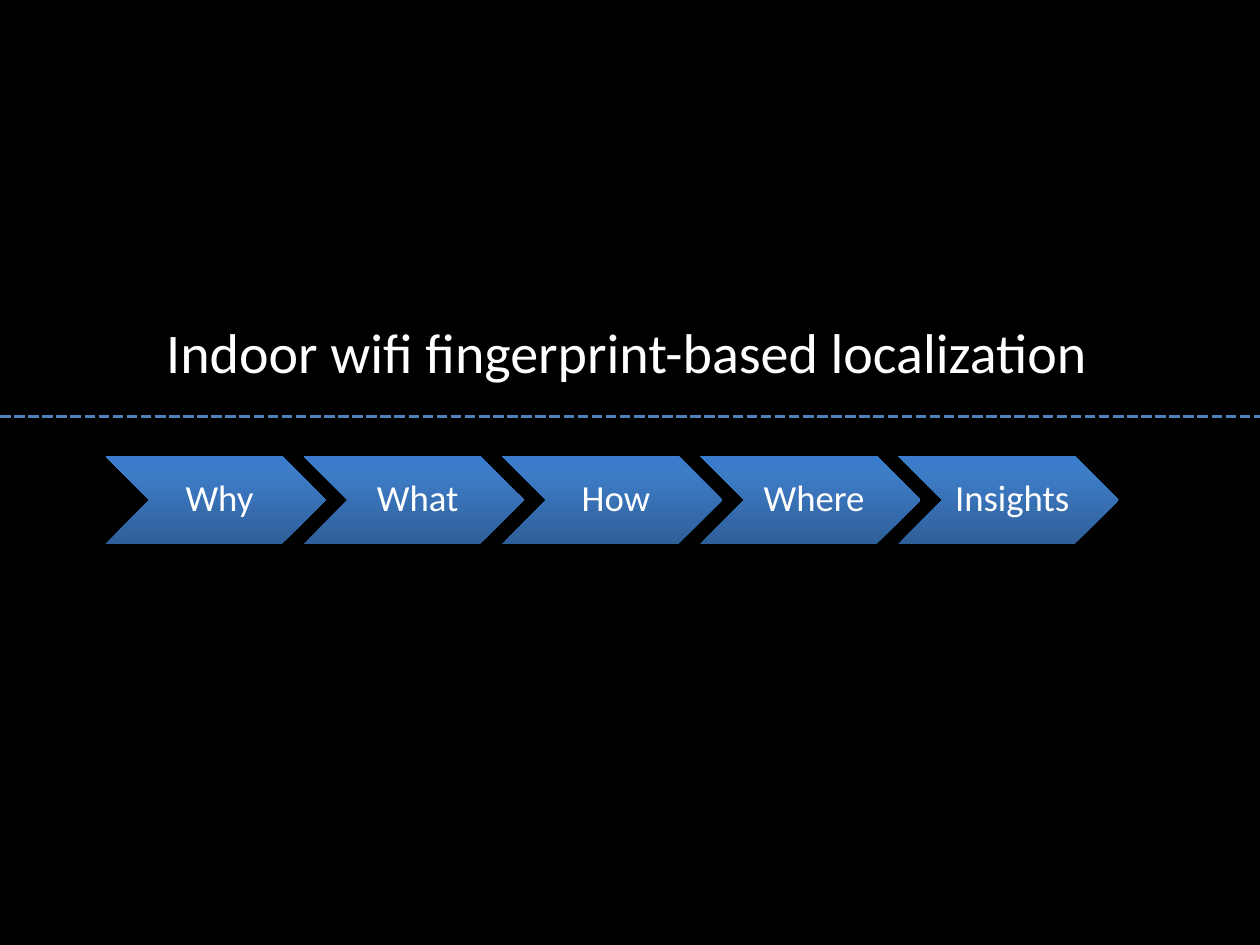
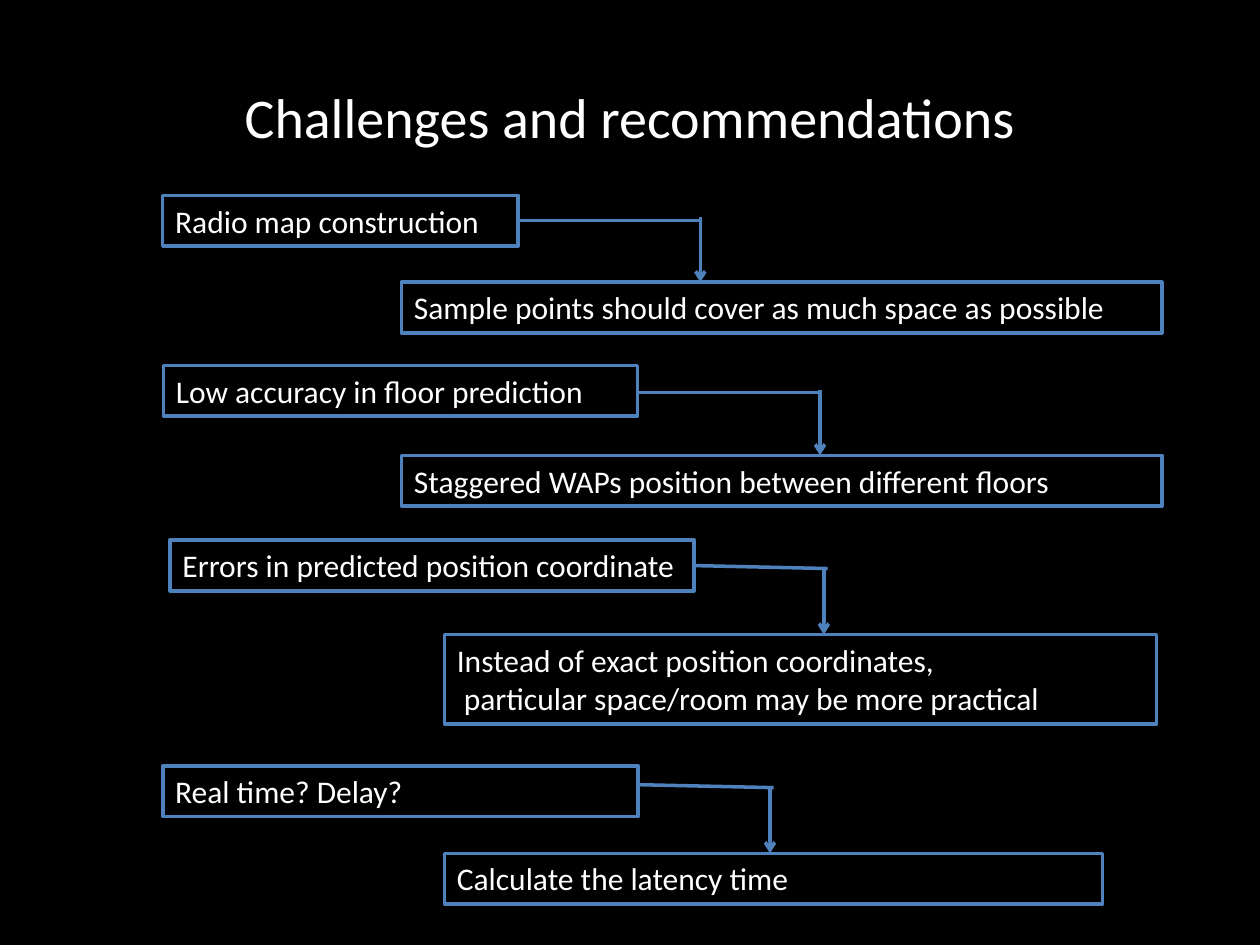
import copy
from dataclasses import dataclass

import lxml.etree
import pptx
import pptx.dml.color
import pptx.enum.dml
import pptx.enum.shapes
import pptx.enum.text
import pptx.oxml.ns
import pptx.util

Pt = pptx.util.Pt
RGBColor = pptx.dml.color.RGBColor
Shape = pptx.enum.shapes.MSO_SHAPE
Align = pptx.enum.text.PP_ALIGN
Anchor = pptx.enum.text.MSO_ANCHOR
qn = pptx.oxml.ns.qn

# Shared style
BLACK = RGBColor(0x00, 0x00, 0x00)
WHITE = RGBColor(0xFF, 0xFF, 0xFF)
BLUE = RGBColor(0x4F, 0x81, 0xBD)
CHEVRON_STOPS = [
    (0, RGBColor(0x2F, 0x5F, 0x99)),
    (0.8, RGBColor(0x3D, 0x7C, 0xC7)),
    (1, RGBColor(0x3A, 0x7C, 0xCB)),
]
FONT = "Calibri"
LINE_WIDTH = 2
SLIDE_WIDTH, SLIDE_HEIGHT = 720, 540
TITLE_ONLY = 5

# Slide 1: chevron row
STEPS = ["Why", "What", "How", "Where", "Insights"]
CHEVRON_LEFT, CHEVRON_TOP, CHEVRON_STEP = 60.3, 260.6, 113.25
CHEVRON_WIDTH, CHEVRON_HEIGHT = 126, 50.2

# Slide 2: arrows from each challenge down to its recommendation
ARROW_LENGTH = 37.5
BOX_HEIGHT = 29


@dataclass(frozen=True)
class Box:
    text: str
    left: float
    top: float
    width: float
    height: float = BOX_HEIGHT


@dataclass(frozen=True)
class Challenge:
    issue: Box
    advice: Box
    arm_y: float
    arrow_x: float
    overshoot: float = 0
    drop: float = 0


CHALLENGES = [
    Challenge(
        Box("Radio map construction", 93, 111.6, 203.2),
        Box("Sample points should cover as much space as possible", 229.5, 161.3, 434.5),
        arm_y=126, arrow_x=400.2),
    Challenge(
        Box("Low accuracy in floor prediction", 93.4, 208.8, 271),
        Box("Staggered WAPs position between different floors", 229.5, 260.2, 434.5),
        arm_y=224.2, arrow_x=468.6),
    Challenge(
        Box("Errors in predicted position coordinate", 97.2, 308.6, 299.4),
        Box("Instead of exact position coordinates,\n"
            "particular space/room may be more practical", 254, 362.6, 407, 51),
        arm_y=323.2, arrow_x=470.8, overshoot=2.1, drop=1.7),
    Challenge(
        Box("Real time? Delay?", 93, 437.6, 271.6),
        Box("Calculate the latency time", 254, 487.6, 376),
        arm_y=448.4, arrow_x=440, overshoot=2.1, drop=1.7),
]


def write(s, text: str, *, size: float, align=Align.LEFT, anchor=Anchor.TOP,
          insets=(7.2, 3.6, 7.2, 3.6), spacing: float = 1, next_indent: float = 0) -> None:
    """Fill a shape with text, one paragraph per line."""
    tf = s.text_frame
    tf.word_wrap = True
    tf.auto_size = pptx.enum.text.MSO_AUTO_SIZE.NONE
    tf.vertical_anchor = anchor
    tf.margin_left, tf.margin_top, tf.margin_right, tf.margin_bottom = map(Pt, insets)
    for i, line in enumerate(text.split("\n")):
        p = tf.add_paragraph() if i else tf.paragraphs[0]
        p.alignment = align
        p.line_spacing = spacing
        if i and next_indent:
            p._p.get_or_add_pPr().set("marL", str(Pt(next_indent)))
        r = p.add_run()
        r.text = line
        r.font.name, r.font.size = FONT, Pt(size)
        r.font.color.rgb = WHITE


def add_titled_slide(prs, title: str, left: float, top: float, width: float,
                     height: float, **text_format):
    slide = prs.slides.add_slide(prs.slide_layouts[TITLE_ONLY])
    s = slide.shapes.title
    s.left, s.top, s.width, s.height = map(Pt, (left, top, width, height))
    write(s, title, size=32, **text_format)
    return slide


def add_line(slide, x1: float, y1: float, x2: float, y2: float, *,
             dashed: bool = False, arrow: bool = False) -> None:
    c = slide.shapes.add_connector(
        pptx.enum.shapes.MSO_CONNECTOR.STRAIGHT, *map(Pt, (x1, y1, x2, y2)))
    c.line.color.rgb = BLUE
    c.line.width = Pt(LINE_WIDTH)
    if dashed:
        c.line.dash_style = pptx.enum.dml.MSO_LINE.SQUARE_DOT
    sp = c._element.spPr
    if arrow:
        lxml.etree.SubElement(sp.find(qn("a:ln")), qn("a:tailEnd"), type="arrow")
    lxml.etree.SubElement(sp, qn("a:effectLst"))


def add_preset(slide, kind, left: float, top: float, width: float, height: float):
    s = slide.shapes.add_shape(kind, *map(Pt, (left, top, width, height)))
    s.shadow.inherit = False
    return s


def add_chevron(slide, text: str, left: float) -> None:
    s = add_preset(slide, Shape.CHEVRON, left, CHEVRON_TOP, CHEVRON_WIDTH, CHEVRON_HEIGHT)
    s.line.fill.background()
    s.fill.gradient()
    s.fill.gradient_angle = 90
    stops = s._element.spPr.find(qn("a:gradFill")).find(qn("a:gsLst"))
    stops.insert(1, copy.deepcopy(stops[0]))
    for stop, (position, color) in zip(s.fill.gradient_stops, CHEVRON_STOPS):
        stop.position = position
        stop.color.rgb = color
    write(s, text, size=21, align=Align.CENTER, anchor=Anchor.MIDDLE,
          insets=(6.5, 2.2, 2.2, 2.2), spacing=0.9)


def add_box(slide, box: Box) -> None:
    s = add_preset(slide, Shape.RECTANGLE, box.left, box.top, box.width, box.height)
    s.fill.background()
    s.line.color.rgb = BLUE
    s.line.width = Pt(LINE_WIDTH)
    write(s, box.text, size=18, next_indent=4)


def add_challenge(slide, item: Challenge) -> None:
    add_box(slide, item.issue)
    add_box(slide, item.advice)
    add_line(slide, item.issue.left + item.issue.width, item.arm_y,
             item.arrow_x + item.overshoot, item.arm_y + item.drop)
    add_line(slide, item.arrow_x, item.advice.top - ARROW_LENGTH,
             item.arrow_x, item.advice.top, arrow=True)


def main() -> None:
    prs = pptx.Presentation()
    prs.slide_width, prs.slide_height = Pt(SLIDE_WIDTH), Pt(SLIDE_HEIGHT)
    background = prs.slide_master.background.fill
    background.solid()
    background.fore_color.rgb = BLACK

    # Slide 1: topic and outline
    slide = add_titled_slide(prs, "Indoor wifi fingerprint-based localization",
                             87.8, 178, 570, 46)
    for i, step in enumerate(STEPS):
        add_chevron(slide, step, CHEVRON_LEFT + i * CHEVRON_STEP)
    add_line(slide, 0, 238, SLIDE_WIDTH, 238, dashed=True)

    # Slide 2: challenges with their recommendations
    slide = add_titled_slide(prs, "Challenges and recommendations", 36, 21.6, 648, 90,
                             align=Align.CENTER, anchor=Anchor.MIDDLE)
    for item in CHALLENGES:
        add_challenge(slide, item)

    prs.save("out.pptx")


if __name__ == "__main__":
    main()
